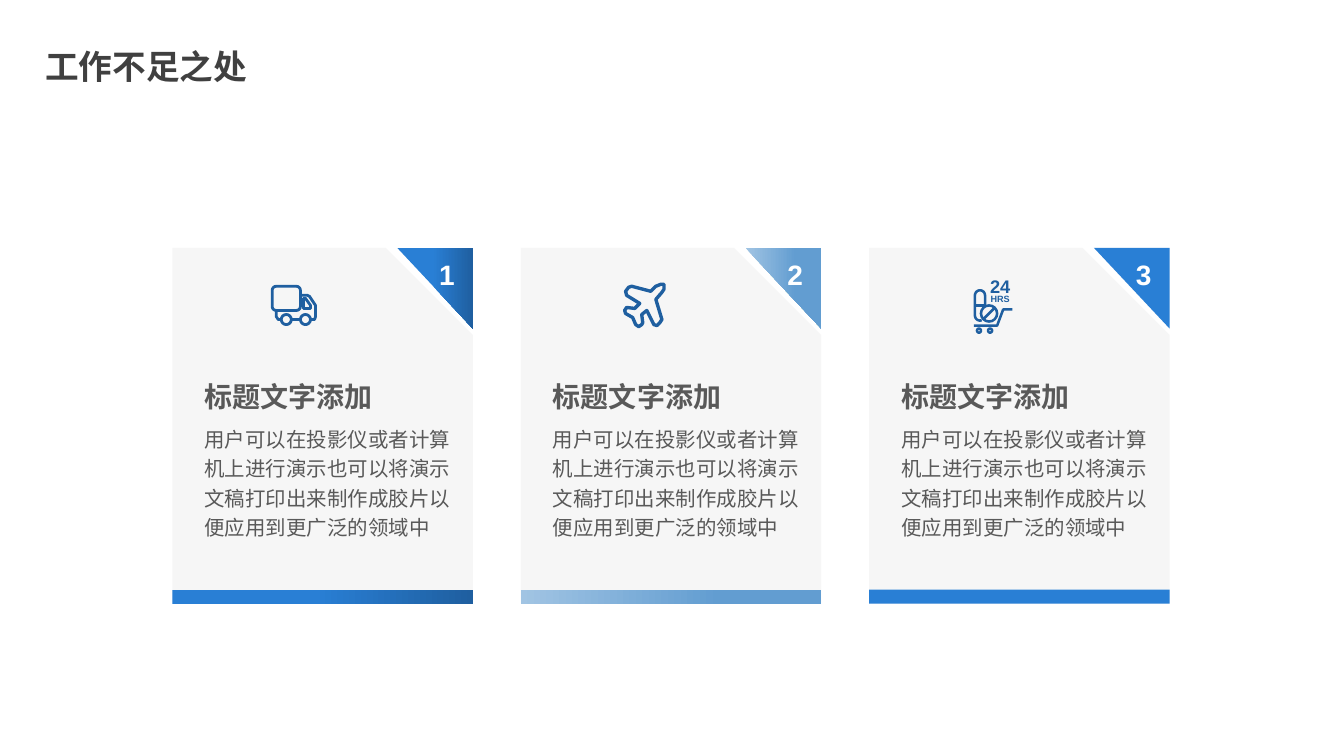
import math

import pptx
import pptx.dml.color
import pptx.enum.shapes
import pptx.enum.text
import pptx.oxml
import pptx.oxml.ns
import pptx.util
from pptx.util import Inches

SHAPE = pptx.enum.shapes.MSO_SHAPE
ALIGN = pptx.enum.text.PP_ALIGN
INK, CARD, WHITE, GREY = "1F5FA0", "F6F6F6", "FFFFFF", "595959"
HEADING = "标题文字添加"
BODY = "用户可以在投影仪或者计算机上进行演示也可以将演示文稿打印出来制作成胶片以便应用到更广泛的领域中"


def rgb(color):
    return pptx.dml.color.RGBColor.from_string(color)


def paint(sp, fill=None, line=None, width=0):
    """fill is None, a colour, or a list of (position, colour) stops."""
    sp.shadow.inherit = False
    if fill is None:
        sp.fill.background()
    elif isinstance(fill, str):
        sp.fill.solid()
        sp.fill.fore_color.rgb = rgb(fill)
    else:
        sp.fill.gradient()
        sp.fill.gradient_angle = 0
        for stop, (position, color) in zip(sp.fill.gradient_stops, fill):
            stop.position = position
            stop.color.rgb = rgb(color)
    if line:
        sp.line.color.rgb = rgb(line)
        sp.line.width = pptx.util.Pt(width)
    else:
        sp.line.fill.background()
    return sp


def box(s, kind, x, y, w, h, **style):
    sp = s.shapes.add_shape(kind, Inches(x), Inches(y), Inches(w), Inches(h))
    return paint(sp, **style)


def arc(cx, cy, radius, start=0, end=360, steps=16):
    angles = [math.radians(start + (end - start) * i / steps) for i in range(steps + 1)]
    return [(cx + radius * math.cos(a), cy + radius * math.sin(a)) for a in angles]


def outline(s, x, y, contours, **style):
    """One freeform; a contour is closed by repeating its first point."""
    builder = None
    for points in contours:
        spots = [(Inches(x + dx), Inches(y + dy)) for dx, dy in points]
        if builder is None:
            builder = s.shapes.build_freeform(*spots[0])
        else:
            builder.move_to(*spots[0])
        builder.add_line_segments(spots[1:], close=spots[0] == spots[-1])
    return paint(builder.convert_to_shape(), **style)


def write(sp, text, size, color, bold=False, align=ALIGN.LEFT, spacing=None,
          insets=(0.1, 0.05, 0.05, 0.05), wrap=True, font="Arial"):
    tf = sp.text_frame
    tf.word_wrap = wrap
    tf.vertical_anchor = pptx.enum.text.MSO_ANCHOR.TOP
    tf.margin_left, tf.margin_top, tf.margin_right, tf.margin_bottom = map(Inches, insets)
    p = tf.paragraphs[0]
    p.text = text
    p.alignment = align
    if spacing:
        p.line_spacing = spacing
    p.font.size = pptx.util.Pt(size)
    p.font.bold = bold
    p.font.name = font
    p.font.color.rgb = rgb(color)
    # East Asian typeface
    latin = p._p.pPr.find(".//" + pptx.oxml.ns.qn("a:latin"))
    latin.addnext(pptx.oxml.parse_xml(
        '<a:ea %s typeface="Noto Sans CJK SC"/>' % pptx.oxml.ns.nsdecls("a")))


def label(s, x, y, w, h, text, size, color, **style):
    sp = s.shapes.add_textbox(Inches(x), Inches(y), Inches(w), Inches(h))
    write(sp, text, size, color, **style)


def truck_icon(s, x, y):
    cargo = (arc(0.05, 0.05, 0.04, 180, 270, 4) + arc(0.25, 0.05, 0.04, 270, 360, 4)
             + arc(0.25, 0.21, 0.04, 0, 90, 4) + arc(0.05, 0.21, 0.04, 90, 180, 4)
             + [(0.01, 0.05)])
    chassis = [(0.05, 0.25), (0.05, 0.31), (0.07, 0.34), (0.1, 0.34)]
    axle = [(0.2, 0.34), (0.3, 0.34)]
    cab = [(0.29, 0.1), (0.36, 0.1), (0.38, 0.11), (0.44, 0.2),
           (0.44, 0.31), (0.43, 0.34), (0.39, 0.34)]
    window = [(0.32, 0.13), (0.34, 0.13), (0.39, 0.2), (0.39, 0.23),
              (0.32, 0.23), (0.32, 0.13)]
    wheels = [arc(cx, 0.34, 0.05) for cx in (0.15, 0.34)]
    outline(s, x + 0.98, y + 0.37, [cargo, chassis, axle, cab, window] + wheels,
            line=INK, width=2)


def plane_icon(s, x, y):
    plane = [(0.41, 0.02), (0.41, 0.07), (0.39, 0.1), (0.33, 0.17), (0.39, 0.37),
             (0.37, 0.4), (0.34, 0.43), (0.31, 0.42), (0.24, 0.28), (0.19, 0.32),
             (0.2, 0.4), (0.19, 0.42), (0.16, 0.44), (0.13, 0.42), (0.1, 0.35),
             (0.03, 0.31), (0.02, 0.28), (0.04, 0.25), (0.12, 0.26), (0.17, 0.21),
             (0.04, 0.13), (0.03, 0.09), (0.06, 0.05), (0.09, 0.04), (0.28, 0.09),
             (0.33, 0.04), (0.38, 0.02), (0.41, 0.02)]
    outline(s, x + 1.01, y + 0.34, [plane], line=INK, width=2.4)


def pharmacy_icon(s, x, y):
    x, y = x + 1.03, y + 0.31
    capsule = ([(0.12, 0.27)] + arc(0.07, 0.16, 0.05, 0, -180)
               + arc(0.07, 0.36, 0.05, 180, 70))
    band = [(0.02, 0.26), (0.12, 0.26)]
    tablet = arc(0.16, 0.34, 0.08)
    score = [(0.11, 0.39), (0.21, 0.29)]
    cart = [(0.01, 0.46), (0.24, 0.46), (0.3, 0.3), (0.39, 0.3)]
    wheels = [arc(cx, 0.51, 0.02) for cx in (0.06, 0.17)]
    outline(s, x, y, [capsule, band, tablet, score, cart] + wheels, line=INK, width=1.8)
    # Opening hours
    for text, size, middle in (("24", 13, 0.07), ("HRS", 6.5, 0.19)):
        label(s, x + 0.07, y + middle - size / 125, 0.4, size / 62, text, size, INK,
              bold=True, align=ALIGN.CENTER, insets=(0, 0, 0, 0), wrap=False)


def card(s, x, y, w, h, number, fill, icon):
    panel = box(s, SHAPE.SNIP_1_RECTANGLE, x, y, w, h, fill=CARD)
    panel.adjustments[0] = 0.29
    box(s, SHAPE.RECTANGLE, x, y + h - 0.14, w, 0.14, fill=fill)
    corner = outline(s, x + w - 0.75, y, [[(0.75, 0), (0, 0), (0.75, 0.8), (0.75, 0)]],
                     fill=fill)
    write(corner, number, 20, WHITE, bold=True, align=ALIGN.RIGHT,
          insets=(0.18, 0.09, 0.18, 0.09))
    icon(s, x, y)
    label(s, x + 0.22, y + 1.19, 2.19, 0.47, HEADING, 20, GREY, bold=True, spacing=1.2)
    label(s, x + 0.22, y + 1.68, 2.64, 1.26, BODY, 14.6, GREY, spacing=1.2)


def shortcomings_slide(prs):
    s = prs.slides.add_slide(prs.slide_layouts[6])
    label(s, 0.35, 0.41, 2.22, 0.5, "工作不足之处", 24, "404040", bold=True,
          wrap=False, font="Noto Sans CJK SC")
    cards = [
        ("1", [(0.47, "297FD5"), (1, INK)], truck_icon),
        ("2", [(0, "A1C4E3"), (0.66, "629DD1")], plane_icon),
        ("3", "297FD5", pharmacy_icon),
    ]
    first, last = 1.71, 8.62
    pitch = (last - first) / (len(cards) - 1)
    for i, (number, fill, icon) in enumerate(cards):
        card(s, first + pitch * i, 2.46, 2.98, 3.53, number, fill, icon)


def main():
    prs = pptx.Presentation()
    prs.slide_width, prs.slide_height = Inches(13.33), Inches(7.5)
    shortcomings_slide(prs)
    prs.save("out.pptx")


if __name__ == "__main__":
    main()
